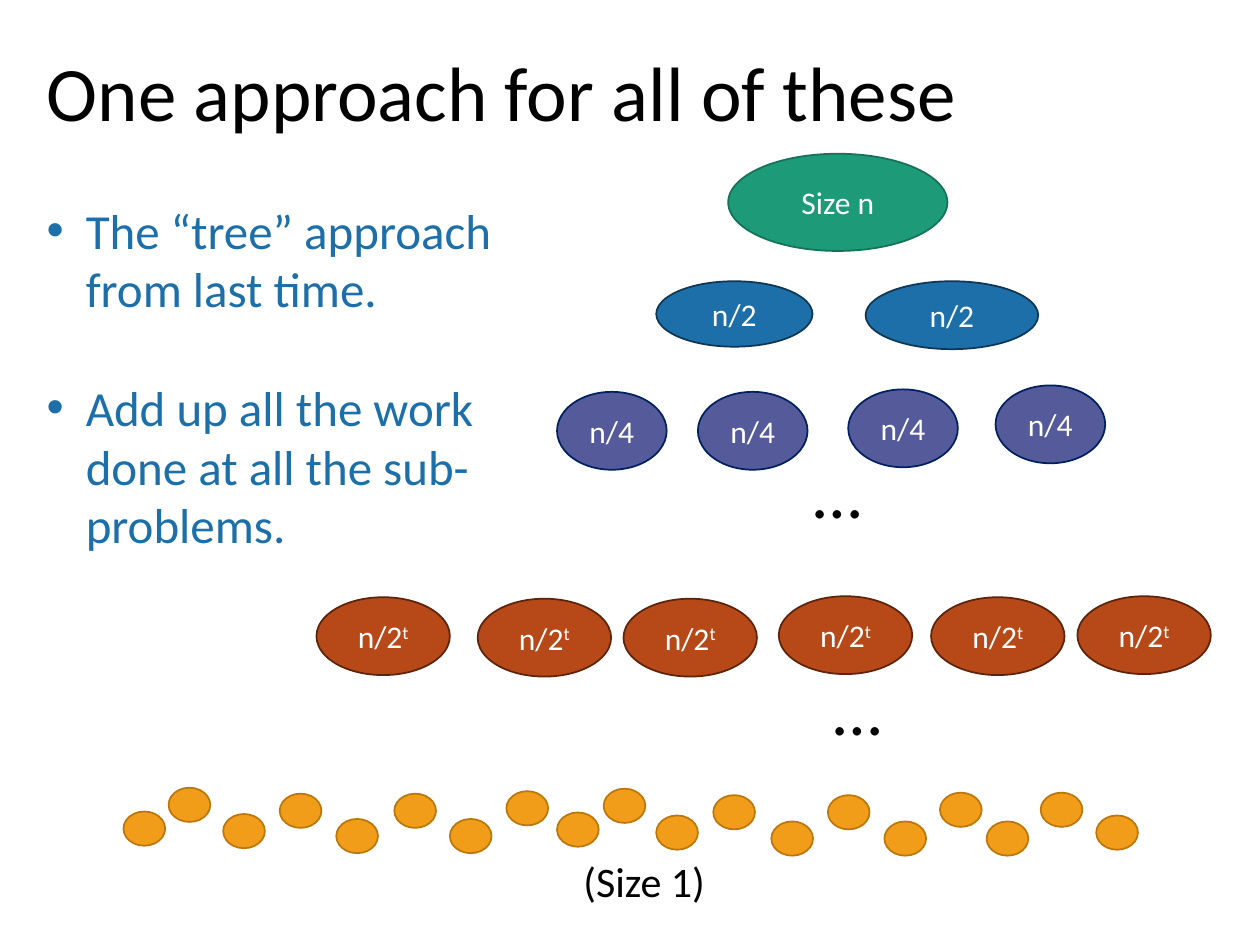
from dataclasses import dataclass

from lxml.etree import SubElement
from pptx import Presentation
from pptx.dml.color import RGBColor
from pptx.enum.shapes import MSO_SHAPE
from pptx.enum.text import MSO_ANCHOR, MSO_AUTO_SIZE, PP_ALIGN
from pptx.oxml.ns import qn
from pptx.util import Cm, Pt


@dataclass(frozen=True)
class Theme:
    """Colours, font and type sizes of the slide."""
    font: str = "Calibri"
    black: str = "000000"
    white: str = "FFFFFF"
    accent: str = "1D6FA9"
    root: tuple = ("1D9A78", "157259")
    half: tuple = ("1D6FA9", "0F3754")
    quarter: tuple = ("555B9A", "002060")
    general: tuple = ("B74919", "5C240C")
    leaf: tuple = ("F19D19", "BC770B")
    title_size: int = 44
    ellipsis_size: int = 40
    bullet_size: int = 28
    caption_size: int = 24
    node_size: int = 18


THEME = Theme()
TITLE_BOX = (0.69, 0.10, 20.22, 3.68)
BULLET_BOX = (0.69, 3.91, 9.91, 7.44)
TREE_BOX = (2.49, 3.10, 21.92, 15.29)

BULLETS = [
    "The “tree” approach from last time.",
    "Add up all the work done at all the sub-problems.",
]
LEVELS = [
    ("Size n", "", THEME.root, (4.42, 1.96), [(12.19, 0)]),
    ("n/2", "", THEME.half, (3.15, 1.32), [(10.74, 2.57)]),
    ("n/2", "", THEME.half, (3.48, 1.37), [(14.96, 2.57)]),
    ("n/4", "", THEME.quarter, (2.21, 1.57),
     [(8.74, 4.80), (11.58, 4.80), (14.61, 4.75), (17.58, 4.67)]),
    ("n/2", "t", THEME.general, (2.69, 1.57),
     [(3.89, 8.94), (7.14, 8.97), (10.08, 8.97),
      (13.21, 8.92), (16.28, 8.94), (19.23, 8.92)]),
    ("", "", THEME.leaf, (0.84, 0.69),
     [(0, 13.26), (0.91, 12.78), (2.01, 13.31), (3.15, 12.90),
      (4.29, 13.41), (5.46, 12.90), (6.58, 13.41), (7.72, 12.85),
      (8.74, 13.28), (9.68, 12.80), (10.74, 13.34), (11.89, 12.93),
      (13.06, 13.46), (14.20, 12.93), (15.34, 13.46), (16.46, 12.88),
      (17.40, 13.46), (18.49, 12.88), (19.61, 13.34)]),
]
TREE_LABELS = [
    ("…", THEME.ellipsis_size, (13.67, 5.82, 1.45, 1.96)),
    ("…", THEME.ellipsis_size, (14.07, 10.19, 1.45, 1.96)),
    ("(Size 1)", THEME.caption_size, (9.02, 14.02, 3.00, 1.27)),
]


def style_runs(paragraph, size, color):
    """Apply the theme font, a size and a colour to each run."""
    for run in paragraph.runs:
        run.font.name = THEME.font
        run.font.size = Pt(size)
        run.font.color.rgb = RGBColor.from_string(color)


def add_label(slide, box, text, size):
    """Add a one-line black text box."""
    text_frame = slide.shapes.add_textbox(*map(Cm, box)).text_frame
    text_frame.word_wrap = False
    text_frame.text = text
    style_runs(text_frame.paragraphs[0], size, THEME.black)


def add_node(slide, box, label, exponent, colors):
    """Add an ellipse with an optional label and raised exponent."""
    shape = slide.shapes.add_shape(MSO_SHAPE.OVAL, *map(Cm, box))
    fill, line = colors
    shape.shadow.inherit = False
    shape.fill.solid()
    shape.fill.fore_color.rgb = RGBColor.from_string(fill)
    shape.line.color.rgb = RGBColor.from_string(line)
    shape.line.width = Pt(1)
    if not label:
        return
    text_frame = shape.text_frame
    text_frame.vertical_anchor = MSO_ANCHOR.MIDDLE
    text_frame.text = label
    paragraph = text_frame.paragraphs[0]
    paragraph.alignment = PP_ALIGN.CENTER
    if exponent:
        run = paragraph.add_run()
        run.text = exponent
        run._r.get_or_add_rPr().set("baseline", "30000")
    style_runs(paragraph, THEME.node_size, THEME.white)


def fill_title(slide, box, text):
    """Place and format the title placeholder."""
    title = slide.shapes.title
    title.left, title.top, title.width, title.height = map(Cm, box)
    text_frame = title.text_frame
    text_frame.text = text
    text_frame.auto_size = MSO_AUTO_SIZE.NONE
    text_frame.vertical_anchor = MSO_ANCHOR.MIDDLE
    paragraph = text_frame.paragraphs[0]
    paragraph.alignment = PP_ALIGN.LEFT
    paragraph.line_spacing = 0.9
    style_runs(paragraph, THEME.title_size, THEME.black)


def add_bullets(slide, box, items):
    """Add the bulleted text with a line's gap between items."""
    text_frame = slide.shapes.add_textbox(*map(Cm, box)).text_frame
    text_frame.word_wrap = True
    text_frame.text = "\n".join(items)
    for index, paragraph in enumerate(text_frame.paragraphs):
        if index:
            paragraph.space_before = Pt(34)
        properties = paragraph._p.get_or_add_pPr()
        properties.set("marL", str(Cm(0.79)))
        properties.set("indent", str(-Cm(0.79)))
        SubElement(properties, qn("a:buFont"), typeface="Arial")
        SubElement(properties, qn("a:buChar"), char="•")
        style_runs(paragraph, THEME.bullet_size, THEME.accent)


def add_tree(slide, box):
    """Draw the levels of sub-problems and their labels inside the box."""
    left, top = box[:2]
    for label, exponent, colors, size, spots in LEVELS:
        for x, y in spots:
            add_node(slide, (left + x, top + y, *size), label, exponent, colors)
    for text, size, (x, y, width, height) in TREE_LABELS:
        add_label(slide, (left + x, top + y, width, height), text, size)


def main():
    """Build and save the presentation."""
    presentation = Presentation()
    presentation.slide_width = Cm(25.4)
    presentation.slide_height = Cm(19.05)
    slide = presentation.slides.add_slide(presentation.slide_layouts[5])
    fill_title(slide, TITLE_BOX, "One approach for all of these")
    add_tree(slide, TREE_BOX)
    add_bullets(slide, BULLET_BOX, BULLETS)
    presentation.save("out.pptx")


if __name__ == "__main__":
    main()
